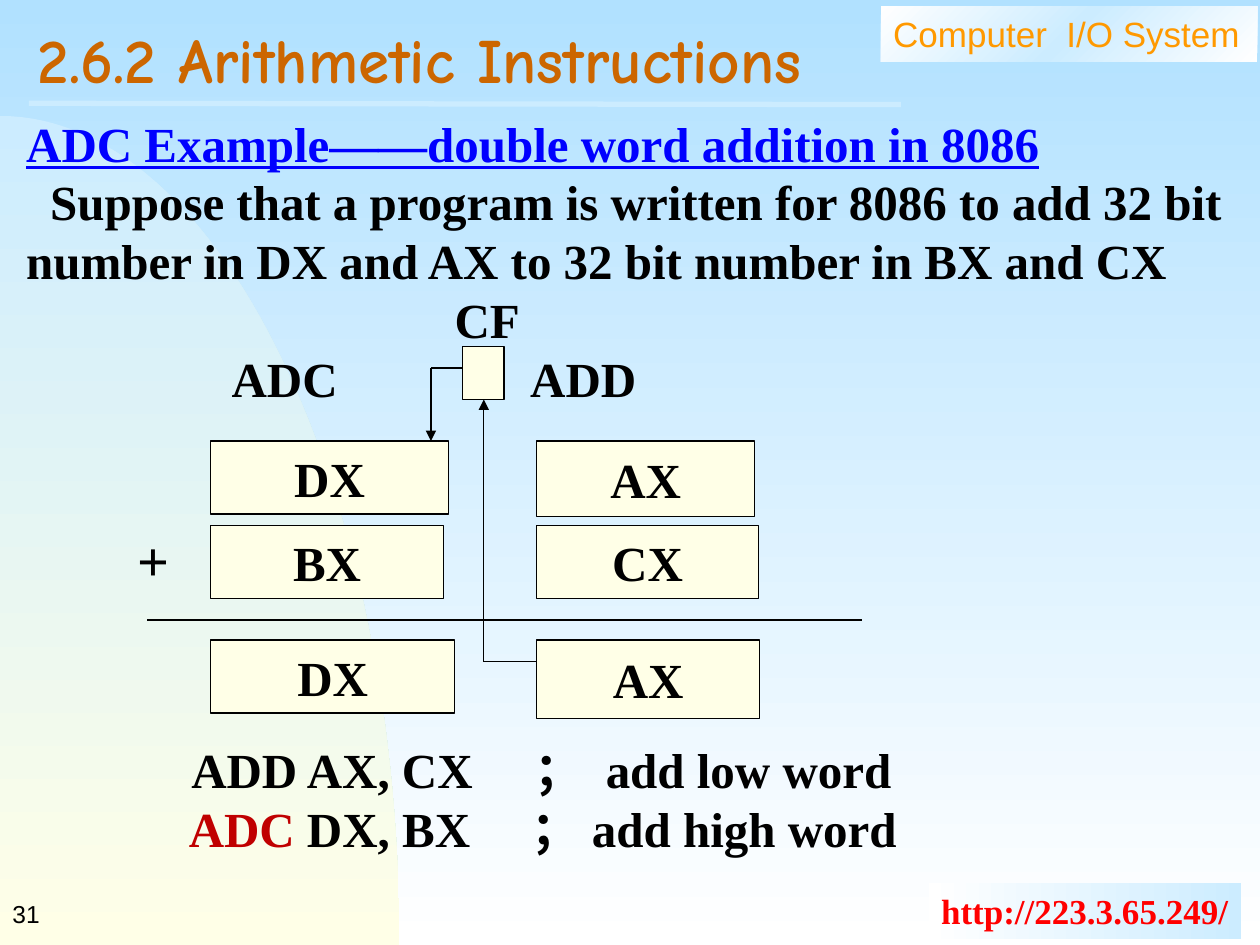
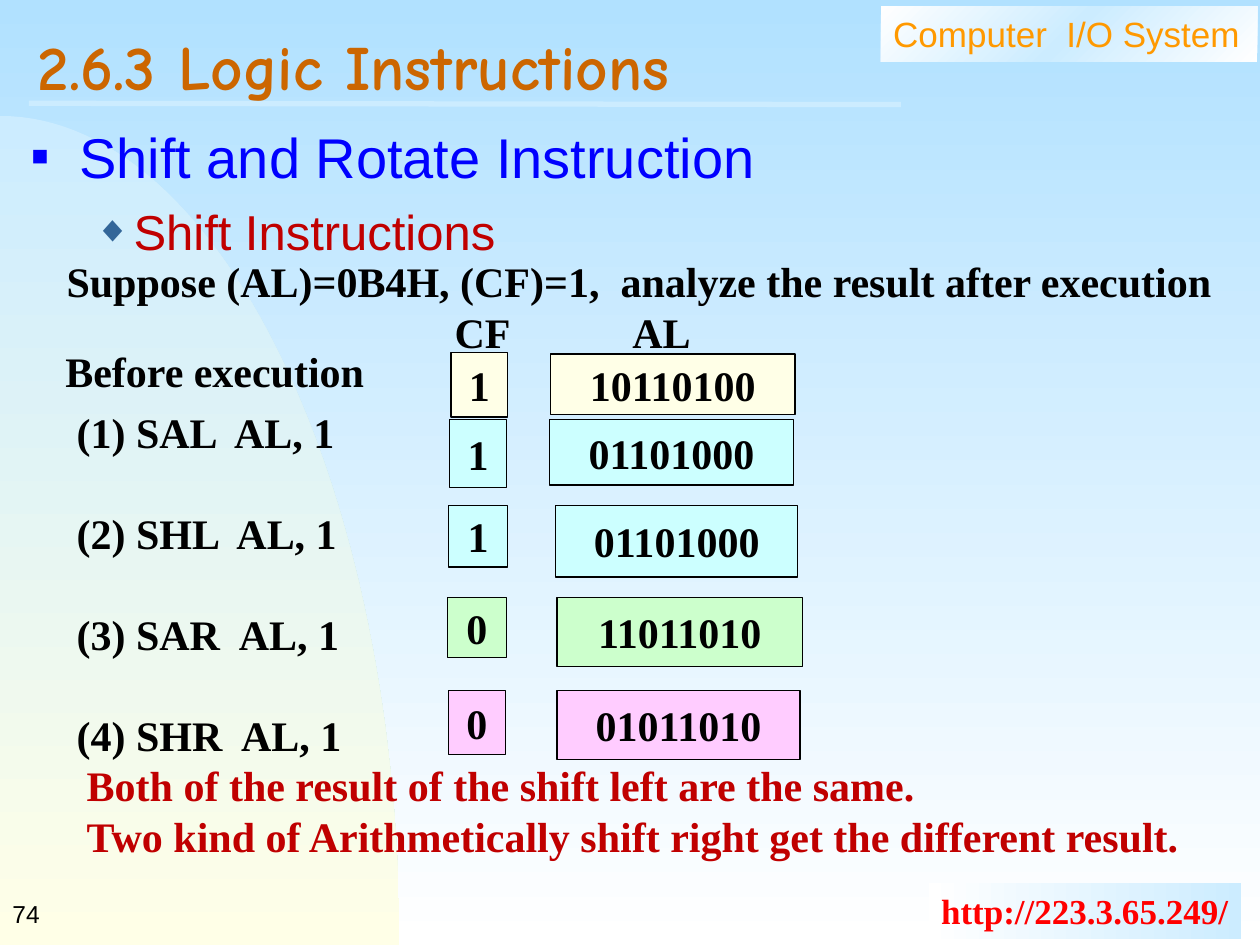
from copy import deepcopy

from lxml.etree import SubElement
from pptx import Presentation
from pptx.dml.color import RGBColor
from pptx.enum.shapes import MSO_CONNECTOR, MSO_SHAPE
from pptx.enum.text import MSO_ANCHOR, MSO_AUTO_SIZE, PP_ALIGN
from pptx.oxml.ns import qn
from pptx.util import Inches, Pt

COLORS = {
    "ink": "000000", "white": "FFFFFF", "sky": "B1E1FF", "ice": "CCECFF",
    "cream": "FFFFE7", "aqua": "CCFFFF", "mint": "CCFFCC", "pink": "FFCCFF",
    "blue": "0000FF", "steel": "336699", "red": "C00000", "link": "FF0000",
    "orange": "FF9900", "rust": "CC6600",
}
SERIF, SANS, COMIC = "Times New Roman", "Arial", "Comic Neue"


def tint(name):
    return RGBColor.from_string(COLORS[name])


def blend(fill, names, angle):
    """Fill with evenly spaced colour stops; angle is clockwise."""
    fill.gradient()
    fill.gradient_angle = (360 - angle) % 360
    first = fill.gradient_stops[0]._gs
    for _ in names[2:]:
        first.addnext(deepcopy(first))
    for i, (stop, name) in enumerate(zip(fill.gradient_stops, names)):
        stop.color.rgb = tint(name)
        stop.position = i / (len(names) - 1)


def write(frame, text, size=28, color="ink", font=SERIF, bold=True, under=False,
          align=PP_ALIGN.LEFT, before=0, margin=0, indent=0, spacing=None,
          bullet=None):
    """Add a paragraph; text is a string or a list of (string, colour)."""
    para = frame.add_paragraph() if frame.text else frame.paragraphs[0]
    props = para._p.get_or_add_pPr()
    props.set("marL", str(Inches(margin)))
    props.set("indent", str(Inches(indent)))
    if bullet:
        char, shade, percent = bullet
        SubElement(SubElement(props, qn("a:buClr")), qn("a:srgbClr"), val=COLORS[shade])
        SubElement(props, qn("a:buSzPct"), val=str(percent * 1000))
        SubElement(props, qn("a:buChar"), char=char)
    else:
        SubElement(props, qn("a:buNone"))
    para.alignment = align
    para.space_before = Pt(before)
    para.line_spacing = spacing or Pt(size * 1.2)
    for part, shade in [(text, color)] if isinstance(text, str) else text:
        run = para.add_run()
        run.text = part
        run.font.size, run.font.name = Pt(size), font
        run.font.bold, run.font.underline = bold, under
        run.font.color.rgb = tint(shade)


def setup(frame, anchor=MSO_ANCHOR.TOP, wrap=True):
    frame.auto_size = MSO_AUTO_SIZE.NONE
    frame.word_wrap = wrap
    frame.vertical_anchor = anchor
    frame.margin_left = frame.margin_right = Inches(0.1)
    frame.margin_top = frame.margin_bottom = Inches(0.05)
    return frame


def area(slide, x, y, w, h, **layout):
    box = slide.shapes.add_textbox(Inches(x), Inches(y), Inches(w), Inches(h))
    return setup(box.text_frame, **layout)


def label(slide, x, y, text, w=1.2, **style):
    write(area(slide, x, y, w, 0.56), text, **style)


def block(slide, x, y, w, h):
    shape = slide.shapes.add_shape(
        MSO_SHAPE.RECTANGLE, Inches(x), Inches(y), Inches(w), Inches(h))
    shape.shadow.inherit = False
    return shape


def cell(slide, x, y, w, h, text="", fill="cream", size=28):
    shape = block(slide, x, y, w, h)
    shape.fill.solid()
    shape.fill.fore_color.rgb = tint(fill)
    shape.line.color.rgb = tint("ink")
    shape.line.width = Pt(0.75)
    if text:
        frame = setup(shape.text_frame, MSO_ANCHOR.MIDDLE, wrap=False)
        write(frame, text, size=size, align=PP_ALIGN.CENTER)


def band(slide, x, y, w, h, names, angle, text, **style):
    shape = block(slide, x, y, w, h)
    blend(shape.fill, names, angle)
    shape.line.fill.background()
    write(setup(shape.text_frame, wrap=False), text, size=20, **style)


def rule(slide, x1, y1, x2, y2, color="ink", width=0.75, arrow=False):
    line = slide.shapes.add_connector(
        MSO_CONNECTOR.STRAIGHT, Inches(x1), Inches(y1), Inches(x2), Inches(y2))
    line.line.color.rgb = tint(color)
    line.line.width = Pt(width)
    if arrow:
        SubElement(line.line._get_or_add_ln(), qn("a:tailEnd"), type="triangle")
    SubElement(line._element.spPr, qn("a:effectLst"))


def hill(slide, x, y, w, h):
    """Draw the curved backdrop as a sampled cubic curve, behind everything."""
    knots = [(0, 0), (0.55, 0), (1, 0.45), (1, 1)]
    points = []
    for i in range(61):
        t = i / 60
        weights = [(1 - t) ** 3, 3 * t * (1 - t) ** 2, 3 * t * t * (1 - t), t ** 3]
        points.append((Inches(x + w * sum(k * p[0] for k, p in zip(weights, knots))),
                       Inches(y + h * sum(k * p[1] for k, p in zip(weights, knots)))))
    pen = slide.shapes.build_freeform(*points[0])
    pen.add_line_segments(points[1:] + [(Inches(x), Inches(y + h))], close=True)
    shape = pen.convert_to_shape()
    shape.shadow.inherit = False
    shape.line.fill.background()
    blend(shape.fill, ["ice", "cream"], 90)
    slide.shapes[0]._element.addprevious(shape._element)


def place(holder, x, y, w, h, **layout):
    holder.left, holder.top = Inches(x), Inches(y)
    holder.width, holder.height = Inches(w), Inches(h)
    return setup(holder.text_frame, **layout)


def base(deck, layout, title, top, number):
    """Add a slide with the shared backdrop, bands, title and number."""
    slide = deck.slides.add_slide(deck.slide_layouts[layout])
    blend(slide.background.fill, ["sky", "white"], 90)
    hill(slide, 0, 0.92, 3.17, 6.58)
    band(slide, 6.99, 0.05, 2.99, 0.44, ["white", "ice", "white"], 45,
         "Computer  I/O System", font=SANS, color="orange", bold=False)
    band(slide, 7.37, 7.01, 2.48, 0.44, ["white", "ice"], 0,
         "http://223.3.65.249/", color="link")
    rule(slide, 0.23, 0.82, 7.15, 0.83, color="ice", width=3)
    write(area(slide, 0, 7, 2.08, 0.5, anchor=MSO_ANCHOR.MIDDLE), number,
          size=14, font=SANS, bold=False)
    frame = place(slide.shapes.title, 0.2, top, 9.55, 0.78, anchor=MSO_ANCHOR.MIDDLE)
    write(frame, title, size=36, font=COMIC, color="rust", spacing=0.7)
    return slide


def adder(slide, x, y):
    """Draw the two-word addition with its carry flag."""
    for dx, dy, text in [(2.64, 0, "CF"), (0.87, 0.47, "ADC"), (3.24, 0.47, "ADD")]:
        label(slide, x + dx, y + dy, text)
    label(slide, x + 0.12, y + 1.87, "+", w=0.56, size=32)
    high, low = 0.8, 3.39
    for dx, dy, w, h, text in [
        (high, 1.25, 1.89, 0.58, "DX"), (low, 1.25, 1.73, 0.6, "AX"),
        (high, 1.92, 1.85, 0.58, "BX"), (low, 1.92, 1.76, 0.58, "CX"),
        (high, 2.83, 1.94, 0.58, "DX"), (low, 2.83, 1.77, 0.62, "AX"),
        (2.8, 0.5, 0.33, 0.42, ""),
    ]:
        cell(slide, x + dx, y + dy, w, h, text)
    for x1, y1, x2, y2, arrow in [
        (0.3, 2.67, 5.97, 2.67, False),
        (2.8, 0.67, 2.55, 0.67, False), (2.55, 0.67, 2.55, 1.25, True),
        (2.97, 3, 2.97, 0.92, True), (2.97, 3, low, 3, False),
    ]:
        rule(slide, x + x1, y + y1, x + x2, y + y2, arrow=arrow)


def code(slide, x, y):
    """Set two instructions, each with its mark and remark in columns."""
    for i, row in enumerate([
        [(0.02, "ADD AX, CX"), (2.74, "；"), (3.31, "add low word")],
        [(0, [("ADC", "red"), (" DX, BX", "ink")]), (2.72, "；"),
         (3.2, "add high word")],
    ]):
        for dx, text in row:
            label(slide, x + dx, y + 0.47 * i, text, w=2.9)


def table(slide, x, y):
    """Draw the CF and AL values before and after each shift."""
    label(slide, x + 0.01, y, "CF", size=24)
    label(slide, x + 1.42, y, "AL", size=24)
    for fill, flag, value, left, right in [
        ("cream", "1", "10110100", (0.08, 0.42, 0.45, 0.51), (0.87, 0.43, 1.94, 0.48)),
        ("aqua", "1", "01101000", (0.07, 0.95, 0.45, 0.54), (0.86, 0.95, 1.94, 0.52)),
        ("aqua", "1", "01101000", (0.06, 1.63, 0.47, 0.49), (0.91, 1.63, 1.92, 0.57)),
        ("mint", "0", "11011010", (0.05, 2.36, 0.47, 0.48), (0.92, 2.36, 1.95, 0.55)),
        ("pink", "0", "01011010", (0.06, 3.1, 0.45, 0.51), (0.92, 3.1, 1.93, 0.55)),
    ]:
        for text, (dx, dy, w, h) in [(flag, left), (value, right)]:
            cell(slide, x + dx, y + dy, w, h, text, fill, size=24)


def tasks(slide, x, y, w, h):
    frame = area(slide, x, y, w, h)
    for i, name in enumerate(["SAL", "SHL", "SAR", "SHR"]):
        write(frame, f"({i + 1}) {name}  AL, 1", size=24, before=28.8 if i else 0)
    for text in ["Both of the result of the shift left are the same.",
                 "Two kind of Arithmetically shift right get the different result."]:
        write(frame, text, size=24, color="red", margin=0.08)


def add_sum(deck):
    slide = base(deck, 5, "2.6.2 Arithmetic Instructions", 0.15, "31")
    frame = area(slide, 0.11, 0.85, 9.83, 1.5)
    write(frame, "ADC Example——double word addition in 8086", color="blue", under=True)
    write(frame, "Suppose that a program is written for 8086 to add 32 bit "
          "number in DX and AX to 32 bit number in BX and CX", indent=0.19)
    adder(slide, 0.87, 2.25)
    code(slide, 1.4, 5.82)


def add_shift(deck):
    slide = base(deck, 1, "2.6.3 Logic Instructions", 0.2, "74")
    frame = place(slide.placeholders[1], 0.15, 0.92, 6.57, 1.25)
    write(frame, "Shift and Rotate Instruction", size=32, font=SANS, bold=False,
          color="blue", margin=0.38, indent=-0.38, bullet=("■", "blue", 50))
    write(frame, "Shift Instructions", font=SANS, bold=False, color="red",
          before=7, margin=0.81, indent=-0.31, bullet=("◆", "steel", 75))
    frame.paragraphs[1].level = 1
    label(slide, 0.43, 1.98,
          "Suppose (AL)=0B4H, (CF)=1,  analyze the result after execution",
          w=9.5, size=24)
    label(slide, 0.42, 2.69, "Before execution", w=2.7, size=24)
    tasks(slide, 0.51, 3.18, 9.25, 3.7)
    table(slide, 3.5, 2.38)


def main():
    deck = Presentation()
    deck.slide_width, deck.slide_height = Inches(10), Inches(7.5)
    add_sum(deck)
    add_shift(deck)
    deck.save("out.pptx")


if __name__ == "__main__":
    main()
